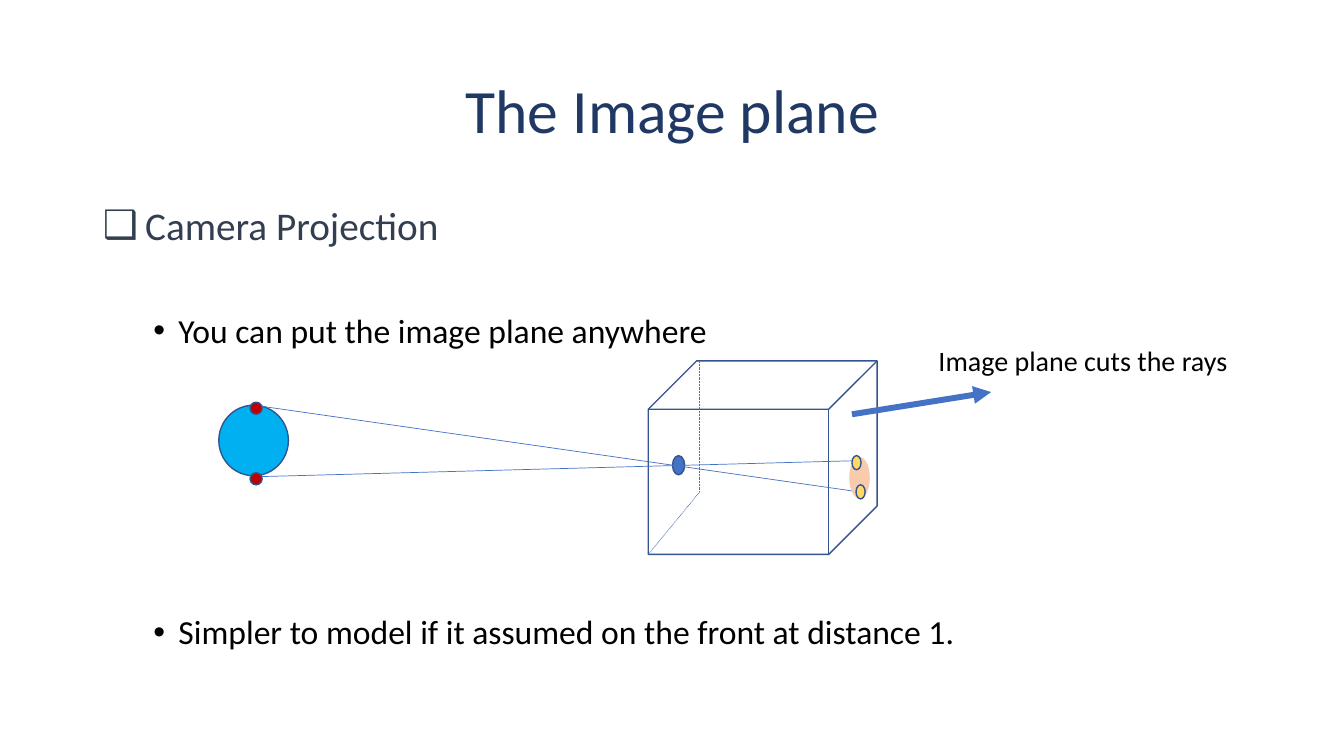
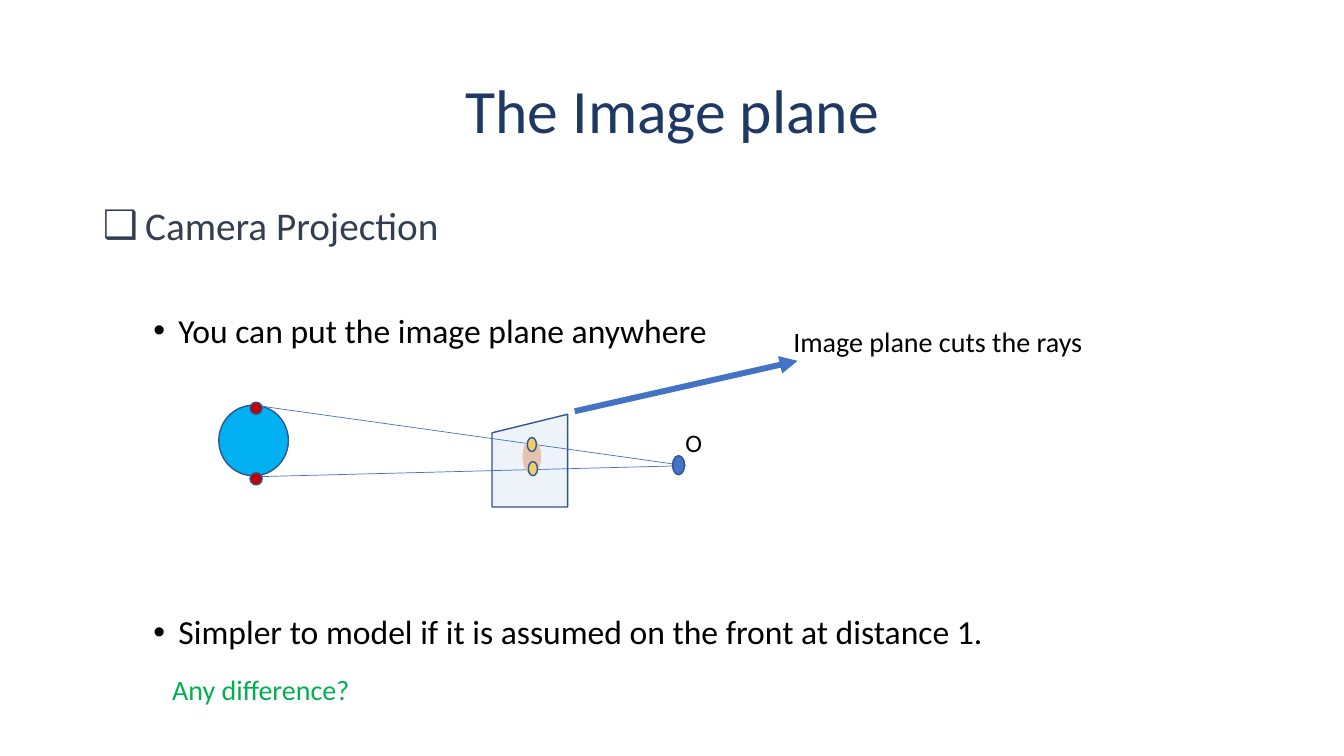
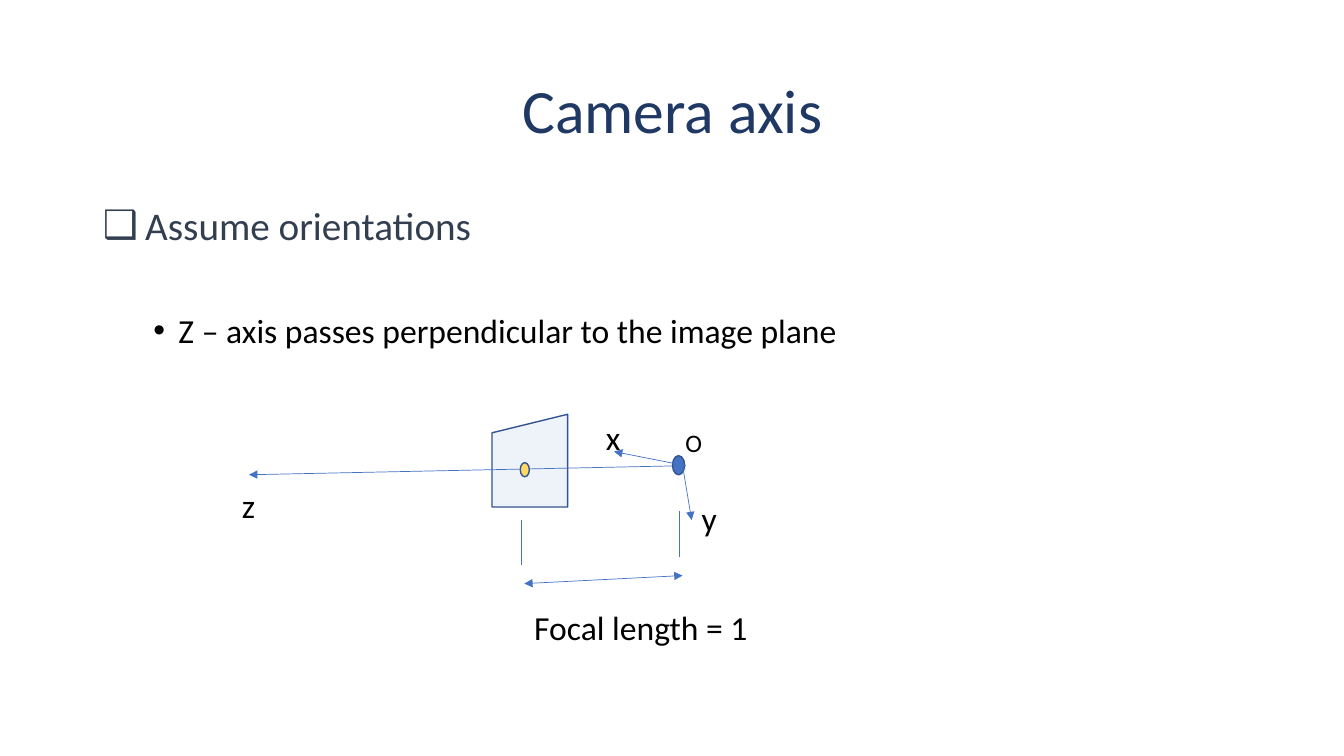
from dataclasses import dataclass
from typing import Any, NamedTuple

from lxml.etree import SubElement
from pptx import Presentation
from pptx.dml.color import RGBColor
from pptx.enum.dml import MSO_LINE
from pptx.enum.shapes import MSO_CONNECTOR, MSO_SHAPE as Preset
from pptx.enum.text import MSO_ANCHOR, MSO_AUTO_SIZE as AutoSize, PP_ALIGN
from pptx.oxml.ns import qn
from pptx.util import Inches, Pt

COLORS = {
    "title": "203864", "heading": "333F50", "text": "000000",
    "question": "00B050", "accent": "4472C4", "edge": "325491",
    "ball": "00B0F0", "point": "C00000", "image": "F8CBAD", "spot": "FFD966",
}
FONT = "Calibri"
TITLE_AREA = (0.92, 0.4, 11.5, 1.45)
BODY_AREA = (0.92, 2, 11.5, 4.76)
BULLET_GAPS = (46.5, 189.5)  # points above the first and second bullet


class Form(NamedTuple):
    left: float
    top: float
    width: float
    height: float
    fill: str | None
    edge: str = "edge"
    preset: Any = Preset.OVAL
    opacity: int = 100


class Ray(NamedTuple):
    start: tuple[float, float]
    end: tuple[float, float]
    weight: float = 0.5
    dotted: bool = False
    arrows: tuple[str, ...] = ()


class Label(NamedTuple):
    text: str
    left: float
    top: float
    width: float
    height: float
    size: int
    color: str = "text"


@dataclass
class Page:
    title: str
    heading: str
    bullets: list[str]
    diagram: list[Form | Ray | Label]


# Formatting helpers
def rgb(name: str) -> RGBColor:
    return RGBColor.from_string(COLORS[name])


def apply(target: Any, values: dict[str, Any]) -> None:
    for name, value in values.items():
        setattr(target, name, value)


def place(box: Any, area: tuple[float, ...]) -> None:
    names = ("left", "top", "width", "height")
    apply(box, dict(zip(names, map(Inches, area))))


def write(para: Any, text: str, size: int, color: str) -> None:
    span = para.add_run()
    span.text = text
    apply(span.font, {"size": Pt(size), "name": FONT, "bold": False})
    span.font.color.rgb = rgb(color)


def add_bullet(para: Any, mark: str, margin: float, hang: float) -> None:
    properties = para._p.get_or_add_pPr()
    properties.set("marL", str(Inches(margin)))
    properties.set("indent", str(-Inches(hang)))
    SubElement(properties, qn("a:buFont"), typeface="Arial")
    SubElement(properties, qn("a:buChar"), char=mark)


# Title and list
def fill_title(box: Any, text: str) -> None:
    place(box, TITLE_AREA)
    apply(box.text_frame, {"vertical_anchor": MSO_ANCHOR.MIDDLE,
                           "auto_size": AutoSize.NONE})
    para = box.text_frame.paragraphs[0]
    apply(para, {"alignment": PP_ALIGN.CENTER, "line_spacing": 0.9})
    write(para, text, 44, "title")


def fill_body(box: Any, heading: str, bullets: list[str]) -> None:
    place(box, BODY_AREA)
    frame = box.text_frame
    apply(frame, {"vertical_anchor": MSO_ANCHOR.TOP, "auto_size": AutoSize.NONE})
    para = frame.paragraphs[0]
    apply(para, {"line_spacing": 0.9, "space_before": Pt(0)})
    add_bullet(para, "❑", 0.42, 0.42)
    write(para, heading, 28, "heading")
    for text, gap in zip(bullets, BULLET_GAPS):
        para = frame.add_paragraph()
        apply(para, {"level": 1, "line_spacing": 0.9, "space_before": Pt(gap)})
        add_bullet(para, "•", 0.75, 0.25)
        write(para, text, 24, "text")


# Diagram items
def draw_form(shapes: Any, form: Form) -> None:
    shape = shapes.add_shape(form.preset, *map(Inches, form[:4]))
    shape.shadow.inherit = False
    if form.fill:
        shape.fill.solid()
        shape.fill.fore_color.rgb = rgb(form.fill)
    else:
        shape.fill.background()
    if form.opacity < 100:
        color = shape.element.spPr.find(qn("a:solidFill"))[0]
        SubElement(color, qn("a:alpha"), val=str(form.opacity * 1000))
    shape.line.color.rgb = rgb(form.edge)
    shape.line.width = Pt(1)


def draw_ray(shapes: Any, ray: Ray) -> None:
    points = map(Inches, ray.start + ray.end)
    connector = shapes.add_connector(MSO_CONNECTOR.STRAIGHT, *points)
    connector.line.color.rgb = rgb("accent")
    connector.line.width = Pt(ray.weight)
    if ray.dotted:
        connector.line.dash_style = MSO_LINE.ROUND_DOT
    properties = connector.element.spPr
    for arrow in ray.arrows:
        SubElement(properties.find(qn("a:ln")), qn(f"a:{arrow}"), type="triangle")
    SubElement(properties, qn("a:effectLst"))


def draw_label(shapes: Any, label: Label) -> None:
    box = shapes.add_textbox(*map(Inches, label[1:5]))
    apply(box.text_frame, {"word_wrap": False,
                           "auto_size": AutoSize.SHAPE_TO_FIT_TEXT})
    write(box.text_frame.paragraphs[0], label.text, label.size, label.color)


DRAW = {Form: draw_form, Ray: draw_ray, Label: draw_label}


# Items that return on several slides
def spot(left: float, top: float) -> Form:
    return Form(left, top, 0.09, 0.14, "spot")


def caption(left: float, top: float) -> Label:
    return Label("Image plane cuts the rays", left, top, 3.1, 0.44, 20)


def axis_label(text: str, left: float, top: float, width: float = 0.35) -> Label:
    return Label(text, left, top, width, 0.5, 24)


HEAD, TAIL = ("headEnd",), ("tailEnd",)
BALL = Form(2.17, 4.02, 0.69, 0.7, "ball")
BALL_TOP, BALL_BOTTOM = (2.52, 4.02), (2.52, 4.73)
BALL_POINTS = [Form(2.48, top, 0.12, 0.12, "point") for top in (4.69, 3.99)]
PINHOLE = Form(6.67, 4.52, 0.12, 0.19, "accent")
ORIGIN = (6.8, 4.62)
ORIGIN_LABEL = Label("O", 6.7, 4.19, 0.37, 0.4, 18)
IMAGE_PLANE = Form(4.88, 4.11, 0.75, 0.92, "accent",
                   preset=Preset.FLOWCHART_MANUAL_INPUT, opacity=9)

PAGES = [
    Page(
        "The Image plane", "Camera Projection",
        ["You can put the image plane anywhere",
         "Simpler to model if it assumed on the front at distance 1."],
        [
            BALL,
            Form(6.43, 3.58, 2.27, 1.92, None, preset=Preset.CUBE),
            PINHOLE,
            Ray((6.94, 3.58), (6.94, 4.88), dotted=True),
            Ray((6.43, 5.5), (6.94, 4.88), dotted=True),
            Ray(BALL_TOP, (8.52, 4.88)),
            Ray(BALL_BOTTOM, (8.52, 4.57)),
            Form(8.43, 4.54, 0.19, 0.4, "image", "image"),
            spot(8.45, 4.52), spot(8.49, 4.81),
            *BALL_POINTS,
            Ray((8.45, 4.11), (9.83, 3.89), 4.25, arrows=TAIL),
            caption(9.21, 3.36),
        ],
    ),
    Page(
        "The Image plane", "Camera Projection",
        ["You can put the image plane anywhere",
         "Simpler to model if it is assumed on the front at distance 1."],
        [
            BALL,
            Ray(BALL_TOP, ORIGIN),
            Ray(BALL_BOTTOM, ORIGIN),
            Form(5.19, 4.36, 0.17, 0.34, "image", "image"),
            spot(5.24, 4.58), spot(5.23, 4.34),
            *BALL_POINTS,
            Ray((5.7, 4.08), (7.91, 3.58), 4.25, arrows=TAIL),
            caption(7.77, 3.17),
            IMAGE_PLANE, PINHOLE, ORIGIN_LABEL,
            Label("Any difference?", 1.61, 6.62, 1.98, 0.44, 20, "question"),
        ],
    ),
    Page(
        "Camera axis", "Assume orientations",
        ["Z – axis passes perpendicular to the image plane"],
        [
            IMAGE_PLANE,
            Ray((2.47, 4.71), ORIGIN, arrows=HEAD),
            spot(5.16, 4.59), PINHOLE, ORIGIN_LABEL,
            axis_label("z", 2.3, 4.76),
            Ray((5.17, 5.16), (5.17, 5.61)),
            Ray((6.74, 5.07), (6.74, 5.53)),
            Ray((5.2, 5.79), (6.77, 5.71), arrows=HEAD + TAIL),
            axis_label("Focal length = 1", 5.2, 5.97, 2.34),
            Ray((6.77, 4.62), (6.86, 5.16), arrows=TAIL),
            axis_label("y", 6.86, 4.89),
            Ray(ORIGIN, (6.09, 4.48), arrows=TAIL),
            axis_label("x", 5.91, 4.09),
        ],
    ),
]


def main() -> None:
    deck = Presentation()
    apply(deck, {"slide_width": Inches(13.33), "slide_height": Inches(7.5)})
    for page in PAGES:
        slide = deck.slides.add_slide(deck.slide_layouts[1])
        fill_title(slide.shapes.title, page.title)
        fill_body(slide.placeholders[1], page.heading, page.bullets)
        for item in page.diagram:
            DRAW[type(item)](slide.shapes, item)
    deck.save("out.pptx")


if __name__ == "__main__":
    main()
